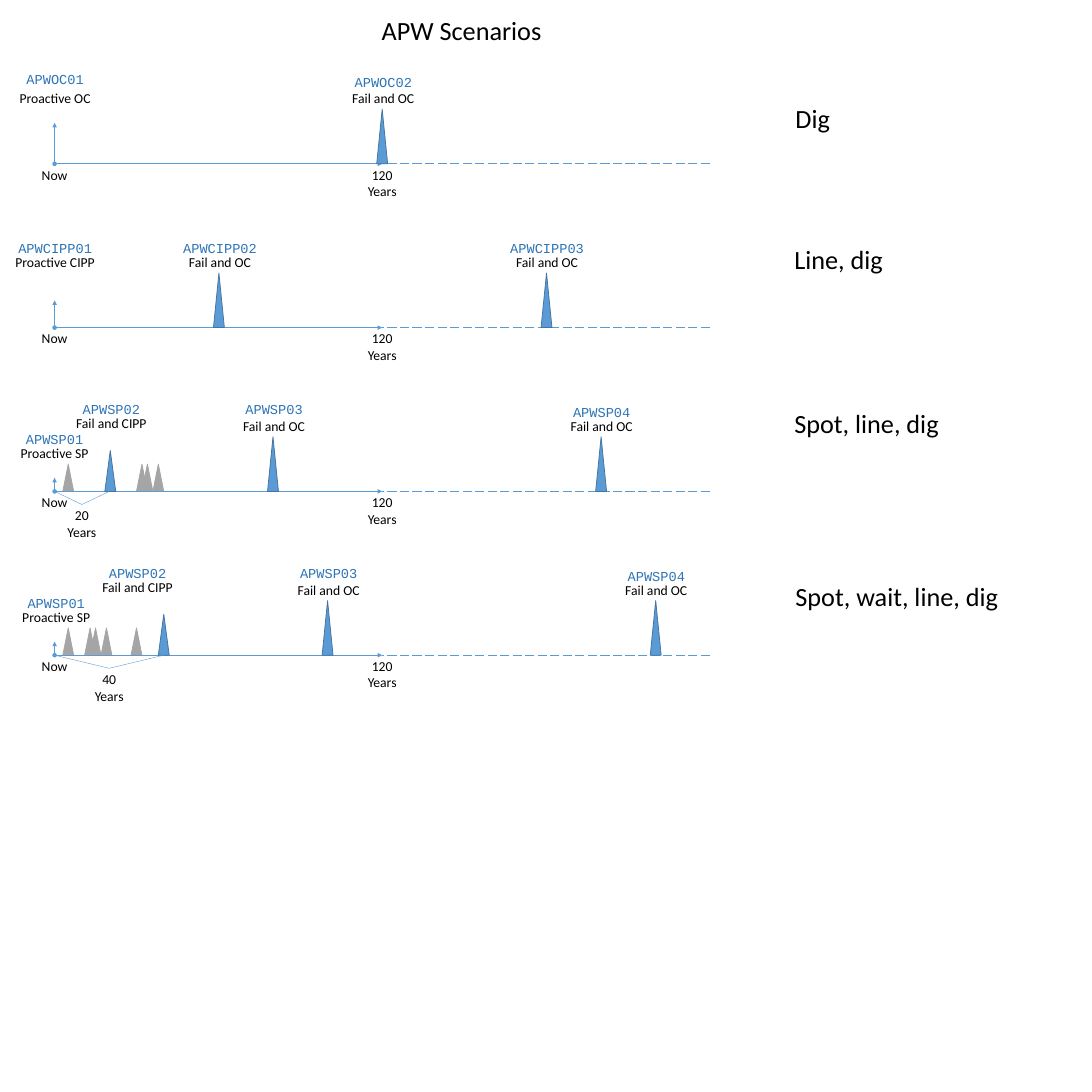
from lxml import etree
from pptx import Presentation
from pptx.dml.color import RGBColor
from pptx.enum.dml import MSO_LINE
from pptx.enum.shapes import MSO_CONNECTOR, MSO_SHAPE
from pptx.enum.text import MSO_ANCHOR, MSO_AUTO_SIZE, PP_ALIGN
from pptx.oxml.ns import qn
from pptx.util import Inches, Pt

STRAIGHT = MSO_CONNECTOR.STRAIGHT
TRIANGLE = MSO_SHAPE.ISOSCELES_TRIANGLE
LONG_DASH = MSO_LINE.LONG_DASH
LEFT, CENTER = PP_ALIGN.LEFT, PP_ALIGN.CENTER
TOP = MSO_ANCHOR.TOP
NO_FIT = MSO_AUTO_SIZE.NONE

BLUE, EDGE, CODE = "5B9BD5", "43739E", "2E75B6"
GRAY, BLACK = "A5A5A5", "000000"
NOW, HORIZON, END = 1, 7, 13
ROW_GAP = 3
PEAK_W = 0.2
LABEL_W = 2

# events: code, caption, centre, code height, caption height above the axis
SCENARIOS = [
    dict(name="Dig", name_x=14.47, name_up=1.18, arrow=0.75, wait=None,
         events=[("APWOC01", "Proactive OC", 1.01, 1.75, 1.4),
                 ("APWOC02", "Fail and OC", 7.02, 1.7, 1.4)],
         peaks=[(7, 1)], repairs=[]),
    dict(name="Line, dig", name_x=14.45, name_up=1.59, arrow=0.5, wait=None,
         events=[("APWCIPP01", "Proactive CIPP", 1.01, 1.65, 1.4),
                 ("APWCIPP02", "Fail and OC", 4.03, 1.65, 1.4),
                 ("APWCIPP03", "Fail and OC", 10.02, 1.65, 1.4)],
         peaks=[(4.01, 1), (10.01, 1)], repairs=[]),
    dict(name="Spot, line, dig", name_x=14.45, name_up=1.59, arrow=0.25,
         wait=("20", 2),
         events=[("APWSP01", "Proactive SP", 1, 1.15, 0.9),
                 ("APWSP02", "Fail and CIPP", 2.04, 1.7, 1.45),
                 ("APWSP03", "Fail and OC", 5.02, 1.7, 1.4),
                 ("APWSP04", "Fail and OC", 11.02, 1.65, 1.4)],
         peaks=[(2.02, 0.75), (5, 1), (11.01, 1)],
         repairs=[1.25, 2.6, 2.7, 2.9]),
    dict(name="Spot, wait, line, dig", name_x=14.47, name_up=1.43, arrow=0.25,
         wait=("40", 3),
         events=[("APWSP01", "Proactive SP", 1.03, 1.15, 0.9),
                 ("APWSP02", "Fail and CIPP", 2.52, 1.7, 1.45),
                 ("APWSP03", "Fail and OC", 6.02, 1.7, 1.4),
                 ("APWSP04", "Fail and OC", 12.02, 1.65, 1.4)],
         peaks=[(3, 0.75), (6, 1), (12.01, 1)],
         repairs=[1.25, 1.65, 1.75, 1.95, 2.5]),
]


def rgb(color):
    return RGBColor.from_string(color)


def write(sp, text, size=18, font="Calibri", color=BLACK, align=CENTER):
    tf = sp.text_frame
    tf.word_wrap = True
    tf.auto_size = NO_FIT
    tf.vertical_anchor = TOP
    for i, line in enumerate(text.split("\n")):
        p = tf.add_paragraph() if i else tf.paragraphs[0]
        p.alignment = align
        r = p.add_run()
        r.text = line
        r.font.size = Pt(size)
        r.font.name = font
        r.font.color.rgb = rgb(color)


def add_text(slide, text, x, y, w, h=0.4, **style):
    sp = slide.shapes.add_textbox(Inches(x), Inches(y), Inches(w), Inches(h))
    write(sp, text, **style)


def add_label(slide, text, center, y, w=LABEL_W, **style):
    add_text(slide, text, center - w / 2, y, w, **style)


def add_line(slide, x1, y1, x2, y2, width=1.5, dash=None, head=None, tail=None):
    sp = slide.shapes.add_connector(
        STRAIGHT, Inches(x1), Inches(y1), Inches(x2), Inches(y2))
    sp.line.color.rgb = rgb(BLUE)
    sp.line.width = Pt(width)
    if dash:
        sp.line.dash_style = dash
    ln = sp.line._get_or_add_ln()
    for tag, kind in (("a:headEnd", head), ("a:tailEnd", tail)):
        if kind:
            etree.SubElement(ln, qn(tag), type=kind)
    etree.SubElement(sp._element.spPr, qn("a:effectLst"))


def add_peak(slide, x, base, height, fill=BLUE, edge=EDGE):
    sp = slide.shapes.add_shape(
        TRIANGLE, Inches(x - PEAK_W / 2), Inches(base - height),
        Inches(PEAK_W), Inches(height))
    sp.shadow.inherit = False
    sp.fill.solid()
    sp.fill.fore_color.rgb = rgb(fill)
    sp.line.color.rgb = rgb(edge)
    sp.line.width = Pt(1)


def add_title(slide, text):
    sp = slide.shapes.title
    sp.left, sp.top = Inches(6.89), Inches(0.22)
    sp.width, sp.height = Inches(3.2), Inches(0.68)
    write(sp, text, size=34.6, align=LEFT)


def add_wait(slide, years, end, base):
    middle, low = (NOW + end) / 2, base + 0.24
    add_line(slide, NOW, base, middle, low, width=0.5)
    add_line(slide, middle, low, end, base, width=0.5)
    add_label(slide, f"{years}\nYears", middle, low, w=1, h=0.71)


def add_scenario(slide, base, scenario):
    for x in scenario["repairs"]:
        add_peak(slide, x, base, 0.5, fill=GRAY, edge=GRAY)
    add_line(slide, NOW, base, HORIZON, base, head="oval", tail="triangle")
    add_line(slide, END, base, HORIZON, base, dash=LONG_DASH)
    add_line(slide, NOW, base, NOW, base - scenario["arrow"], width=2,
             tail="triangle")
    add_label(slide, "Now", NOW, base, w=1)
    add_label(slide, "120\nYears", HORIZON, base, w=1, h=0.71)
    for x, height in scenario["peaks"]:
        add_peak(slide, x, base, height)
    for code, caption, x, code_up, caption_up in scenario["events"]:
        add_label(slide, code, x, base - code_up, font="Courier New", color=CODE)
        add_label(slide, caption, x, base - caption_up)
    if scenario["wait"]:
        add_wait(slide, *scenario["wait"], base)
    add_text(slide, scenario["name"], scenario["name_x"],
             base - scenario["name_up"], 4.78, 0.68, size=34.6, align=LEFT)


def main():
    prs = Presentation()
    prs.slide_width = prs.slide_height = Inches(20)
    slide = prs.slides.add_slide(prs.slide_layouts[5])
    add_title(slide, "APW Scenarios")
    for row, scenario in enumerate(SCENARIOS, 1):
        add_scenario(slide, row * ROW_GAP, scenario)
    prs.save("out.pptx")


main()
